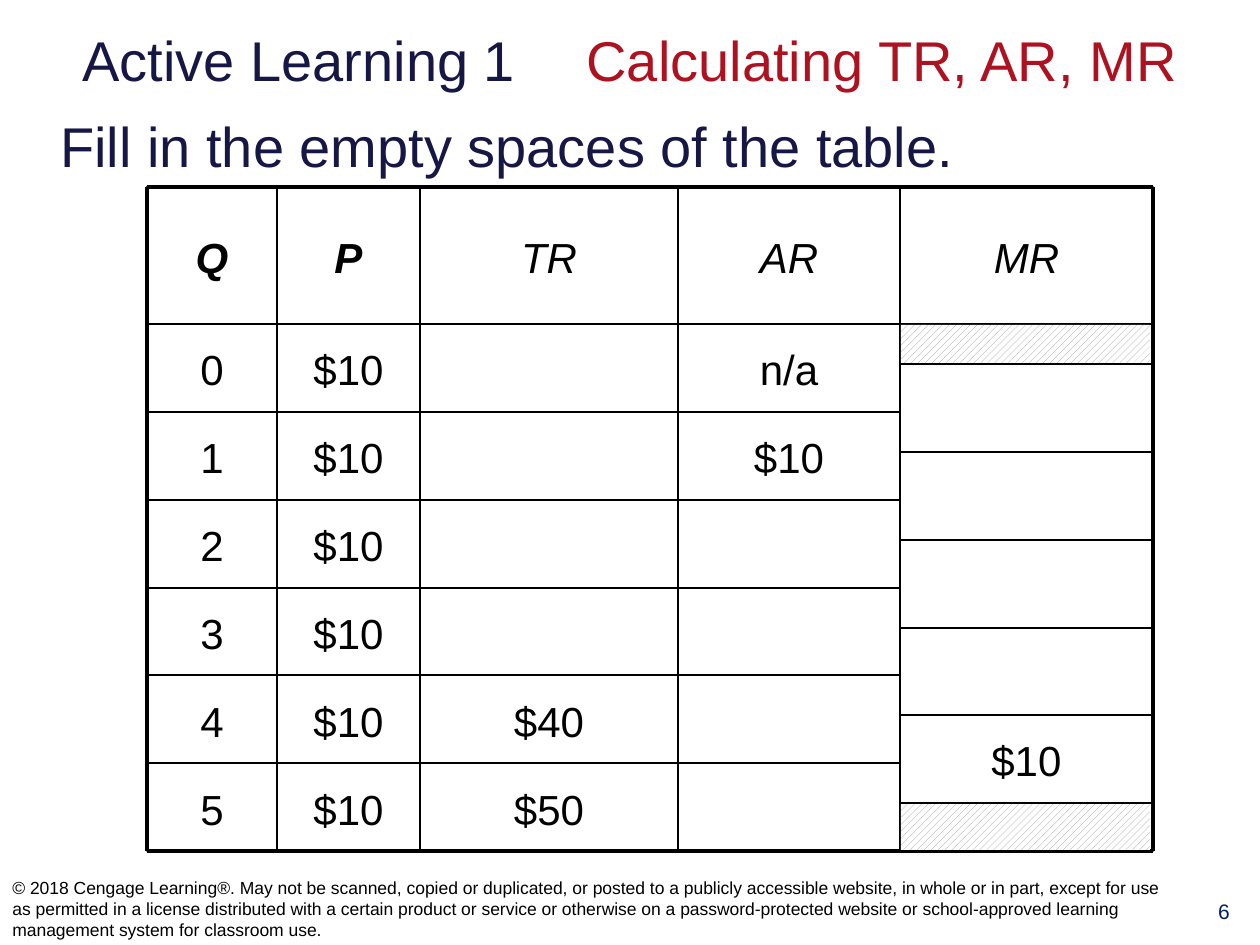
from lxml import etree
from pptx import Presentation
from pptx.dml.color import RGBColor
from pptx.enum.dml import MSO_PATTERN
from pptx.enum.shapes import MSO_CONNECTOR, MSO_SHAPE
from pptx.enum.text import MSO_ANCHOR, PP_ALIGN
from pptx.oxml.ns import qn
from pptx.util import Pt

CENTER, LEFT = PP_ALIGN.CENTER, PP_ALIGN.LEFT
MIDDLE, TOP = MSO_ANCHOR.MIDDLE, MSO_ANCHOR.TOP
RECTANGLE = MSO_SHAPE.RECTANGLE
STRAIGHT = MSO_CONNECTOR.STRAIGHT
HATCH = MSO_PATTERN.WIDE_UPWARD_DIAGONAL

EMU_PER_PX = 914400 / 126
FONT = "Arial"
COLORS = {
    "black": "000000",
    "white": "FFFFFF",
    "navy": "171745",
    "red": "AE1221",
    "number": "002060",
    "hatch": "969696",
}
THIN, THICK = 0.75, 2.25

COLUMN_EDGES = [147, 277, 420, 678, 900, 1153]
TABLE_TOP, BODY_TOP, TABLE_BOTTOM = 187, 324, 851
ROW_COUNT = 6
ROW_EDGES = [
    round(BODY_TOP + row * (TABLE_BOTTOM - BODY_TOP) / ROW_COUNT)
    for row in range(ROW_COUNT + 1)
]
MARGINAL_SHIFT = 40

HEADERS = ["Q", "P", "TR", "AR", "MR"]
BOLD_HEADERS = {"Q", "P"}
ROWS = [
    ["0", "$10", "", "n/a"],
    ["1", "$10", "", "$10"],
    ["2", "$10", "", ""],
    ["3", "$10", "", ""],
    ["4", "$10", "$40", ""],
    ["5", "$10", "$50", ""],
]
MARGINAL_REVENUES = ["", "", "", "", "$10"]
COPYRIGHT = (
    "© 2018 Cengage Learning®. May not be scanned, copied or duplicated, or posted "
    "to a publicly accessible website, in whole or in part, except for use as "
    "permitted in a license distributed with a certain product or service or "
    "otherwise on a password-protected website or school-approved learning "
    "management system for classroom use."
)


def px(value):
    return round(value * EMU_PER_PX)


def color(name):
    return RGBColor.from_string(COLORS[name])


def write(shape, runs, size, align=LEFT, anchor=MIDDLE, spacing=None,
          bold=False, italic=False):
    """Fill the shape with one paragraph made of (text, color name) runs."""
    frame = shape.text_frame
    frame.word_wrap = True
    frame.vertical_anchor = anchor
    paragraph = frame.paragraphs[0]
    paragraph.alignment = align
    if spacing:
        paragraph.line_spacing = spacing
    for text, color_name in runs:
        run = paragraph.add_run()
        run.text = text
        run.font.name = FONT
        run.font.size = Pt(size)
        run.font.bold = bold
        run.font.italic = italic
        run.font.color.rgb = color(color_name)


def add_text(slide, box, runs, size, **style):
    shape = slide.shapes.add_textbox(*map(px, box))
    write(shape, runs, size, **style)


def add_cell_text(slide, box, text, **style):
    add_text(slide, box, [(text, "black")], 24, align=CENTER, spacing=1.05, **style)


def add_rectangle(slide, box):
    shape = slide.shapes.add_shape(RECTANGLE, *map(px, box))
    shape.shadow.inherit = False
    shape.fill.solid()
    shape.fill.fore_color.rgb = color("white")
    shape.line.color.rgb = color("black")
    shape.line.width = Pt(THIN)
    return shape


def add_hatched_rectangle(slide, box):
    shape = add_rectangle(slide, box)
    shape.fill.patterned()
    shape.fill.pattern = HATCH
    shape.fill.fore_color.rgb = color("hatch")
    shape.fill.back_color.rgb = color("white")
    shape.line.fill.background()


def add_line(slide, start, end, width):
    line = slide.shapes.add_connector(STRAIGHT, *map(px, start + end))
    line.line.color.rgb = color("black")
    line.line.width = Pt(width)
    etree.SubElement(line._element.spPr, qn("a:effectLst"))


def add_cells(slide):
    for column, header in enumerate(HEADERS):
        left, right = COLUMN_EDGES[column:column + 2]
        box = (left, TABLE_TOP, right - left, BODY_TOP - TABLE_TOP)
        add_cell_text(slide, box, header, bold=header in BOLD_HEADERS, italic=True)
    for row, values in enumerate(ROWS):
        top, bottom = ROW_EDGES[row:row + 2]
        for column, value in enumerate(values):
            if value:
                left, right = COLUMN_EDGES[column:column + 2]
                add_cell_text(slide, (left, top, right - left, bottom - top), value)


def add_grid(slide):
    left, right = COLUMN_EDGES[0], COLUMN_EDGES[-1]
    for y in [TABLE_TOP] + ROW_EDGES:
        width = THICK if y in (TABLE_TOP, TABLE_BOTTOM) else THIN
        add_line(slide, (left, y), (right, y), width)
    for x in COLUMN_EDGES[:-1]:
        width = THICK if x == left else THIN
        add_line(slide, (x, TABLE_TOP), (x, TABLE_BOTTOM), width)


def add_marginal_column(slide):
    """Place the MR cells between the rows, with hatching above and below."""
    left, right = COLUMN_EDGES[-2:]
    edges = [y + MARGINAL_SHIFT for y in ROW_EDGES[:-1]]
    for index, value in enumerate(MARGINAL_REVENUES):
        top, bottom = edges[index:index + 2]
        cell = add_rectangle(slide, (left, top, right - left, bottom - top))
        if value:
            write(cell, [(value, "black")], 24, align=CENTER, spacing=1.05)
    add_line(slide, (right, TABLE_TOP), (right, TABLE_BOTTOM), THICK)
    for top, bottom in [(BODY_TOP, edges[0]), (edges[-1], TABLE_BOTTOM)]:
        add_hatched_rectangle(
            slide, (left + 1, top + 1, right - left - 4, bottom - top - 2))


def main():
    presentation = Presentation()
    presentation.slide_width = px(1260)
    presentation.slide_height = px(945)
    slide = presentation.slides.add_slide(presentation.slide_layouts[6])

    title = [("Active Learning 1\t\t", "navy"), ("Calculating TR, AR, MR", "red")]
    add_text(slide, (21, 14, 1218, 91), title, 32, align=CENTER)
    add_text(slide, (48, 105, 1174, 136),
             [("Fill in the empty spaces of the table.", "navy")], 32, anchor=TOP)
    add_text(slide, (1188, 892, 72, 52), [("6", "number")], 12,
             align=CENTER, anchor=TOP)
    add_text(slide, (0, 872, 1186, 73), [(COPYRIGHT, "black")], 10)

    add_rectangle(slide, (COLUMN_EDGES[0], TABLE_TOP,
                          COLUMN_EDGES[-1] - COLUMN_EDGES[0],
                          TABLE_BOTTOM - TABLE_TOP))
    add_cells(slide)
    add_grid(slide)
    add_marginal_column(slide)
    presentation.save("out.pptx")


if __name__ == "__main__":
    main()
